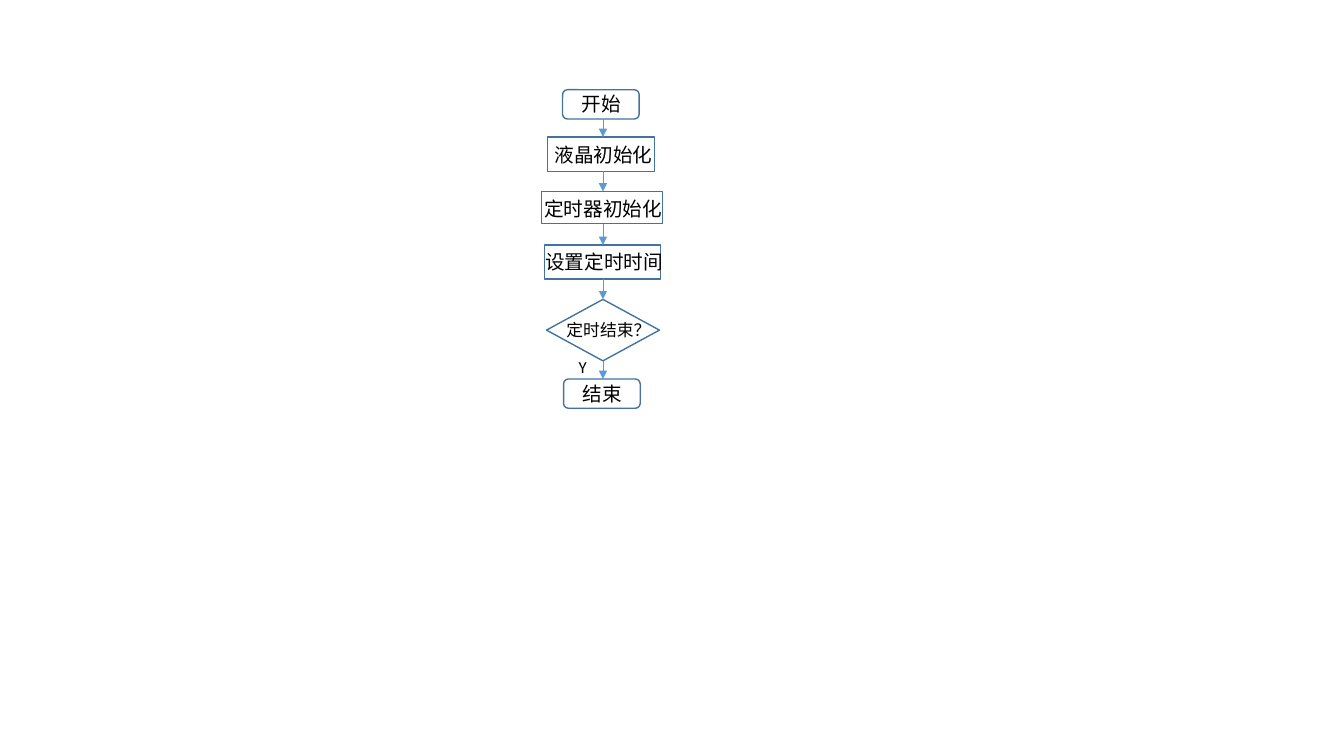
"""Draw a timer flowchart from start to end on one slide."""
import pptx
import pptx.util
import pptx.dml.color
import pptx.enum.shapes
import pptx.enum.text
import pptx.oxml
import pptx.oxml.ns

Inches = pptx.util.Inches
Shape = pptx.enum.shapes.MSO_SHAPE


def color(hex_string):
    return pptx.dml.color.RGBColor.from_string(hex_string)


def add_label(text, left, top, width, height, size):
    box = slide.shapes.add_textbox(Inches(left), Inches(top), Inches(width), Inches(height))
    box.text_frame.word_wrap = True
    box.text_frame.auto_size = pptx.enum.text.MSO_AUTO_SIZE.SHAPE_TO_FIT_TEXT
    run = box.text_frame.paragraphs[0].add_run()
    run.text = text
    run.font.name = "Calibri"
    run.font.size = pptx.util.Pt(size)
    run.font.color.rgb = color("000000")


presentation = pptx.Presentation()
presentation.slide_width = Inches(13.33)
presentation.slide_height = Inches(7.5)
slide = presentation.slides.add_slide(presentation.slide_layouts[6])

steps = [
    (Shape.ROUNDED_RECTANGLE, (5.58, 0.89, 0.76, 0.29), "开始", (5.67, 0.86, 0.67, 0.34), 14),
    (Shape.RECTANGLE, (5.43, 1.36, 1.06, 0.34), "液晶初始化", (5.4, 1.37, 1.59, 0.34), 14),
    (Shape.RECTANGLE, (5.37, 1.9, 1.2, 0.32), "定时器初始化", (5.3, 1.9, 1.66, 0.34), 14),
    (Shape.RECTANGLE, (5.4, 2.43, 1.15, 0.34), "设置定时时间", (5.31, 2.43, 1.59, 0.34), 14),
    (Shape.DIAMOND, (5.42, 2.97, 1.12, 0.61), "定时结束？", (5.52, 3.12, 1.67, 0.3), 12),
    (Shape.ROUNDED_RECTANGLE, (5.59, 3.76, 0.76, 0.29), "结束", (5.68, 3.74, 0.67, 0.34), 14),
]
for kind, frame, text, label_frame, size in steps:
    shape = slide.shapes.add_shape(kind, *map(Inches, frame))
    shape.shadow.inherit = False
    shape.fill.solid()
    shape.fill.fore_color.rgb = color("FFFFFF")
    shape.line.color.rgb = color("43739E")
    shape.line.width = pptx.util.Pt(1)
    add_label(text, *label_frame, size)

arrow_x = Inches(5.98)
for (_, upper, *_), (_, lower, *_) in zip(steps, steps[1:]):
    arrow = slide.shapes.add_connector(
        pptx.enum.shapes.MSO_CONNECTOR.STRAIGHT,
        arrow_x, Inches(upper[1] + upper[3]), arrow_x, Inches(lower[1]))
    arrow.line.color.rgb = color("5B9BD5")
    arrow.line.width = pptx.util.Pt(0.5)
    arrow_head = pptx.oxml.parse_xml(
        f'<a:tailEnd {pptx.oxml.ns.nsdecls("a")} type="triangle"/>')
    arrow.line._get_or_add_ln().append(arrow_head)
    arrow._element.spPr.append(
        pptx.oxml.parse_xml(f'<a:effectLst {pptx.oxml.ns.nsdecls("a")}/>'))

add_label("Y", 5.64, 3.49, 0.34, 0.3, 12)

presentation.save("out.pptx")
